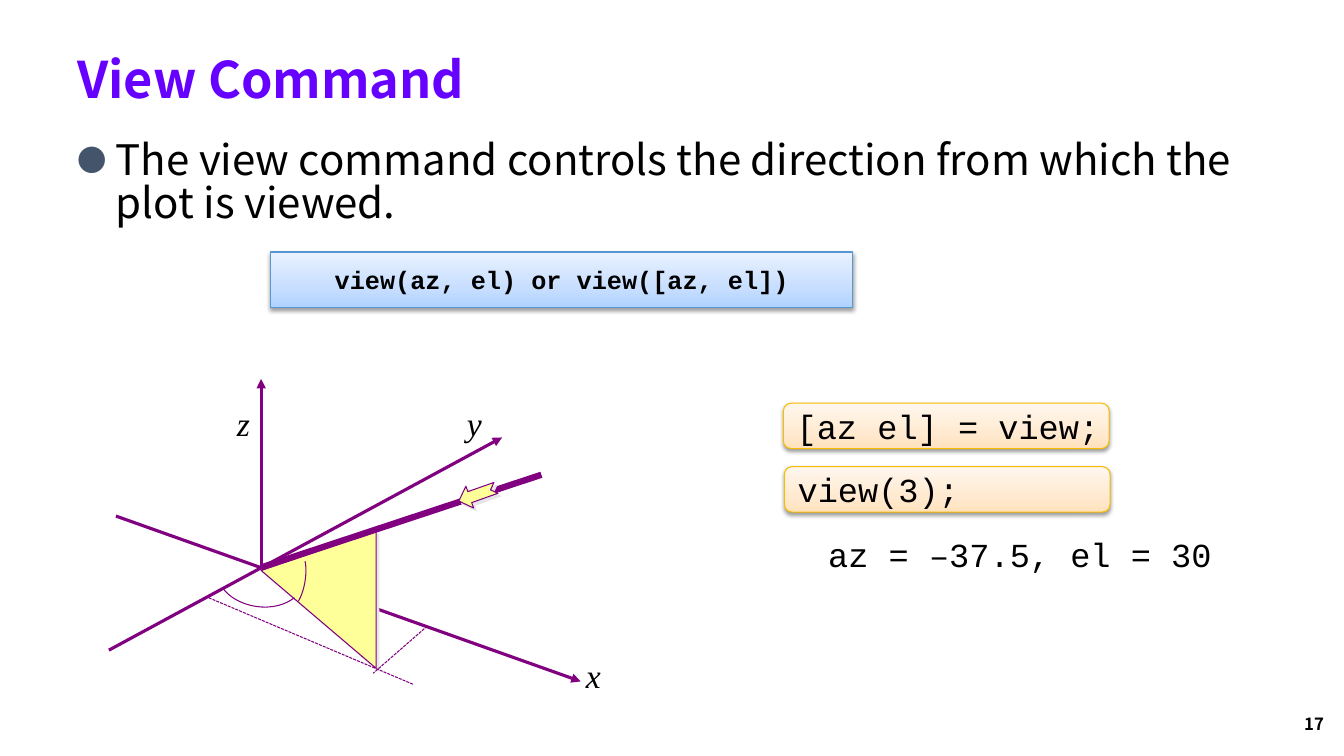
"""Build the View Command slide with its axis diagram and code panels."""
from copy import deepcopy

from lxml.etree import SubElement
from pptx import Presentation
from pptx.dml.color import RGBColor
from pptx.enum.dml import MSO_LINE
from pptx.enum.shapes import MSO_CONNECTOR, MSO_SHAPE
from pptx.enum.text import MSO_ANCHOR, PP_ALIGN
from pptx.oxml.ns import qn
from pptx.util import Pt

PX = 9144
BLACK = RGBColor(0x00, 0x00, 0x00)
VIOLET = RGBColor(0x66, 0x00, 0xFF)
PURPLE = RGBColor(0x80, 0x00, 0x80)
YELLOW = RGBColor(0xFF, 0xFF, 0x99)
SLATE = RGBColor(0x44, 0x54, 0x6A)
PALE_GRAY = RGBColor(0xE7, 0xE6, 0xE6)
BLUE = RGBColor(0x56, 0x98, 0xD3)
GOLD = RGBColor(0xF9, 0xBC, 0x00)
BLUE_STOPS = (RGBColor(0xB0, 0xD2, 0xFF), RGBColor(0xC7, 0xDE, 0xFF), RGBColor(0xEA, 0xF2, 0xFF))
ORANGE_STOPS = (RGBColor(0xFF, 0xE2, 0xBD), RGBColor(0xFF, 0xEA, 0xD1), RGBColor(0xFF, 0xF7, 0xEE))
SANS, MONO, SERIF = "Noto Sans CJK KR", "Courier New", "Times New Roman"

presentation = Presentation()
presentation.slide_width = 1333 * PX
presentation.slide_height = 750 * PX
slide = presentation.slides.add_slide(presentation.slide_layouts[6])
shapes = slide.shapes


def add_line(start, end, width, arrow=False, dashed=False):
    points = [value * PX for value in start + end]
    connector = shapes.add_connector(MSO_CONNECTOR.STRAIGHT, *points)
    connector.line.color.rgb = PURPLE
    connector.line.width = Pt(width)
    if dashed:
        connector.line.dash_style = MSO_LINE.SQUARE_DOT
    properties = connector._element.spPr
    if arrow:
        SubElement(properties.find(qn("a:ln")), qn("a:tailEnd"), type="triangle")
    SubElement(properties, qn("a:effectLst"))


def style_shape(shape, outline, shadow=None):
    shape.line.color.rgb = outline
    shape.line.width = Pt(0.75)
    shape.shadow.inherit = False
    if shadow:
        color, opacity, blur, distance, angle = shadow
        effects = shape._element.spPr.find(qn("a:effectLst"))
        outer = SubElement(effects, qn("a:outerShdw"), blurRad=str(Pt(blur)), dist=str(Pt(distance)),
                           dir=str(angle * 60000), algn="ctr", rotWithShape="0")
        tint = SubElement(outer, qn("a:srgbClr"), val=str(color))
        SubElement(tint, qn("a:alpha"), val=str(opacity * 1000))


panel_shadow = (BLACK, 38, 3.1, 1.6, 90)
diagram_shadow = (PALE_GRAY, 100, 0, 2.8, 45)

panels = [
    (MSO_SHAPE.RECTANGLE, 268, 250, 578, 55, BLUE_STOPS, BLUE,
     "view(az, el) or view([az, el])", 18, True, PP_ALIGN.CENTER, 0),
    (MSO_SHAPE.ROUNDED_RECTANGLE, 777, 400, 323, 45, ORANGE_STOPS, GOLD,
     "[az el] = view;", 24, False, PP_ALIGN.LEFT, 11),
    (MSO_SHAPE.ROUNDED_RECTANGLE, 778, 463, 323, 45, ORANGE_STOPS, GOLD,
     "view(3);", 24, False, PP_ALIGN.LEFT, 11),
]
texts = []
for kind, left, top, width, height, colors, outline, text, size, bold, align, inset in panels:
    panel = shapes.add_shape(kind, left * PX, top * PX, width * PX, height * PX)
    panel.fill.gradient()
    panel.fill.gradient_angle = 90
    stop_list = panel._element.spPr.find(".//" + qn("a:gsLst"))
    stop_list.insert(1, deepcopy(stop_list[0]))
    for stop, color, position in zip(panel.fill.gradient_stops, colors, (0, 0.35, 1)):
        stop.color.rgb = color
        stop.position = position
    style_shape(panel, outline, panel_shadow)
    frame = panel.text_frame
    frame.margin_left = inset * PX
    frame.margin_right = frame.margin_top = frame.margin_bottom = 0
    texts.append((frame, text, size, MONO, BLACK, bold, False, align, MSO_ANCHOR.MIDDLE, True))

for start, end in [((115, 512), (576, 676)), ((108, 645), (498, 434)), ((259, 563), (259, 376))]:
    add_line(start, end, 2.25, arrow=True)

builder = shapes.build_freeform(259, 566, scale=PX)
builder.add_line_segments([(373, 663), (373, 527)], close=True)
triangle = builder.convert_to_shape()
triangle.fill.solid()
triangle.fill.fore_color.rgb = YELLOW
style_shape(triangle, PURPLE, diagram_shadow)

add_line((207, 593), (410, 679), 0.75, dashed=True)
add_line((424, 621), (370, 668), 0.75, dashed=True)
add_line((259, 563), (537, 471), 4.5)

view_arrow = shapes.add_shape(MSO_SHAPE.NOTCHED_RIGHT_ARROW, 454 * PX, 479 * PX, 39 * PX, 23 * PX)
view_arrow.rotation = 160.5
view_arrow.fill.solid()
view_arrow.fill.fore_color.rgb = YELLOW
style_shape(view_arrow, PURPLE, diagram_shadow)

for left, top, width, height, rotation in [(215, 539, 87, 63, 8.5), (258, 562, 62, 27, 280.2)]:
    arc = shapes.add_shape(MSO_SHAPE.ARC, left * PX, top * PX, width * PX, height * PX)
    arc.rotation = rotation
    arc._element.spPr.find(qn("a:xfrm")).set("flipV", "1")
    arc.adjustments[0] = 125.03
    arc.adjustments[1] = 200.72
    arc.fill.background()
    style_shape(arc, PURPLE)

left_align, center, right_align = PP_ALIGN.LEFT, PP_ALIGN.CENTER, PP_ALIGN.RIGHT
top_anchor, bottom_anchor = MSO_ANCHOR.TOP, MSO_ANCHOR.BOTTOM
labels = [
    (67, 17, 1204, 96, "View Command", 36, SANS, VIOLET, True, False, left_align, bottom_anchor, True),
    (67, 136, 1200, 538, "The view command controls the direction from which the plot is viewed.",
     30, SANS, BLACK, False, False, left_align, top_anchor, True),
    (1012, 703, 311, 30, "17", 12, SANS, BLACK, True, False, right_align, top_anchor, True),
    (571, 645, 35, 50, "x", 24, SERIF, BLACK, False, True, center, top_anchor, False),
    (453, 395, 35, 50, "y", 24, SERIF, BLACK, False, True, center, top_anchor, False),
    (225, 395, 33, 50, "z", 24, SERIF, BLACK, False, True, center, top_anchor, False),
    (810, 525, 403, 50, "az = –37.5, el = 30", 24, MONO, BLACK, False, False, center, top_anchor, False),
]
frames = []
for left, top, width, height, *formatting in labels:
    box = shapes.add_textbox(left * PX, top * PX, width * PX, height * PX)
    frames.append(box.text_frame)
    texts.append((box.text_frame, *formatting))

for frame, text, size, font_name, color, bold, italic, align, anchor, wrap in texts:
    frame.text = text
    frame.word_wrap = wrap
    frame.vertical_anchor = anchor
    paragraph = frame.paragraphs[0]
    paragraph.alignment = align
    font = paragraph.runs[0].font
    font.size = Pt(size)
    font.name = font_name
    font.color.rgb = color
    font.bold = bold
    font.italic = italic

statement = frames[1].paragraphs[0]
statement.line_spacing = 0.84
properties = statement._p.get_or_add_pPr()
properties.set("marL", str(38 * PX))
properties.set("indent", str(-38 * PX))
bullet_color = SubElement(properties, qn("a:buClr"))
SubElement(bullet_color, qn("a:srgbClr"), val=str(SLATE))
SubElement(properties, qn("a:buSzPct"), val="70000")
SubElement(properties, qn("a:buFont"), typeface=SANS)
SubElement(properties, qn("a:buChar"), char="●")

presentation.save("out.pptx")
